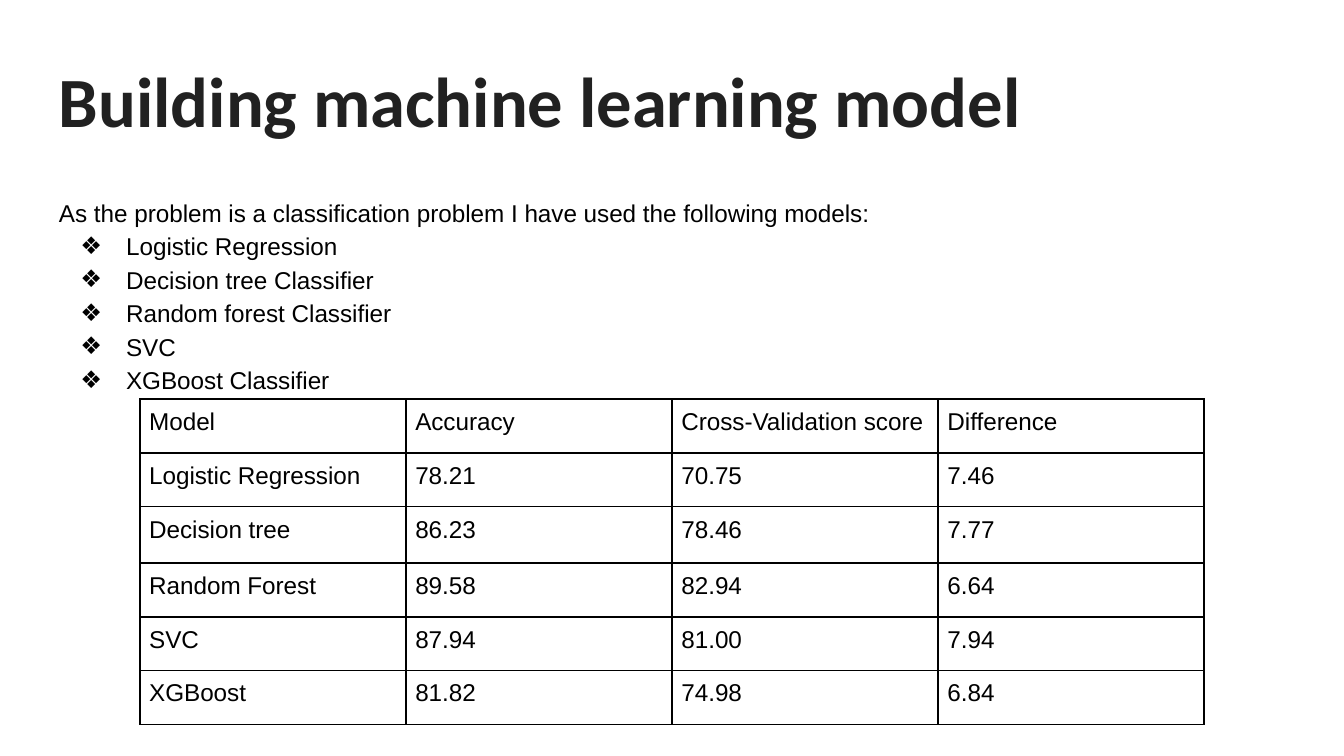
from lxml.etree import SubElement
from pptx import Presentation
from pptx.dml.color import RGBColor
from pptx.oxml.ns import qn
from pptx.util import Inches, Pt

COLORS = {"title": "212121", "text": "000000", "border": "000000"}
WIDTH = 10
HEIGHT = WIDTH * 9 / 16
MARGIN = 0.34
CONTENT_W = WIDTH - 2 * MARGIN
BODY_SIZE = 13

INTRO = "As the problem is a classification problem I have used the following models:"
MODELS = ["Logistic Regression", "Decision tree Classifier",
          "Random forest Classifier", "SVC", "XGBoost Classifier"]
SCORES = [
    ("Model", "Accuracy", "Cross-Validation score", "Difference"),
    ("Logistic Regression", "78.21", "70.75", "7.46"),
    ("Decision tree", "86.23", "78.46", "7.77"),
    ("Random Forest", "89.58", "82.94", "6.64"),
    ("SVC", "87.94", "81.00", "7.94"),
    ("XGBoost", "81.82", "74.98", "6.84"),
]
ROW_HEIGHTS = [0.4, 0.4, 0.42, 0.4, 0.4, 0.4]


def write(p, text, font="Arial", size=BODY_SIZE, color="text", bold=False, spacing=None):
    r = p.add_run()
    r.text = text
    r.font.name, r.font.size, r.font.bold = font, Pt(size), bold
    r.font.color.rgb = RGBColor.from_string(COLORS[color])
    if spacing:
        p.line_spacing = spacing


def set_insets(obj, inset):
    obj.margin_left = obj.margin_right = Inches(inset)
    obj.margin_top = obj.margin_bottom = Inches(inset)


def add_text_frame(s, box):
    tf = s.shapes.add_textbox(*map(Inches, box)).text_frame
    tf.word_wrap = True
    set_insets(tf, 0.1)
    return tf


def add_bullet(p, char="❖", left=0.5, hanging=0.34):
    pPr = p._p.get_or_add_pPr()
    pPr.set("marL", str(Inches(left)))
    pPr.set("indent", str(-Inches(hanging)))
    color = SubElement(pPr, qn("a:buClr"))
    SubElement(color, qn("a:srgbClr"), val=COLORS["text"])
    SubElement(pPr, qn("a:buSzPts"), val=str(BODY_SIZE * 100))
    SubElement(pPr, qn("a:buFont"), typeface="Arial")
    SubElement(pPr, qn("a:buChar"), char=char)


def add_borders(cell, width=1):
    tcPr = cell._tc.get_or_add_tcPr()
    for i, side in enumerate(("lnL", "lnR", "lnT", "lnB")):
        ln = SubElement(tcPr, qn(f"a:{side}"), w=str(Pt(width)))
        fill = SubElement(ln, qn("a:solidFill"))
        SubElement(fill, qn("a:srgbClr"), val=COLORS["border"])
        tcPr.insert(i, ln)


def add_title(s, box):
    tf = add_text_frame(s, box)
    write(tf.paragraphs[0], "Building machine learning model",
          font="Calibri", size=37.8, color="title", bold=True)


def add_model_list(s, box):
    tf = add_text_frame(s, box)
    write(tf.paragraphs[0], INTRO, spacing=1.15)
    for model in MODELS:
        p = tf.add_paragraph()
        write(p, model, spacing=1.15)
        add_bullet(p)


def add_score_table(s, box):
    table = s.shapes.add_table(len(SCORES), len(SCORES[0]), *map(Inches, box)).table
    table.first_row = table.horz_banding = False
    for column in table.columns:
        column.width = Inches(box[2] / len(SCORES[0]))
    for row, height, values in zip(table.rows, ROW_HEIGHTS, SCORES):
        row.height = Inches(height)
        for cell, value in zip(row.cells, values):
            set_insets(cell, 0.07)
            cell.fill.background()
            add_borders(cell)
            write(cell.text_frame.paragraphs[0], value)


def main():
    prs = Presentation()
    prs.slide_width, prs.slide_height = Inches(WIDTH), Inches(HEIGHT)
    s = prs.slides.add_slide(prs.slide_layouts[6])
    add_title(s, (MARGIN, 0.32, CONTENT_W, 0.88))
    add_model_list(s, (MARGIN, 1.34, CONTENT_W, 0.65 * HEIGHT))
    add_score_table(s, (1.04, 2.97, 7.92, sum(ROW_HEIGHTS)))
    prs.save("out.pptx")


if __name__ == "__main__":
    main()
